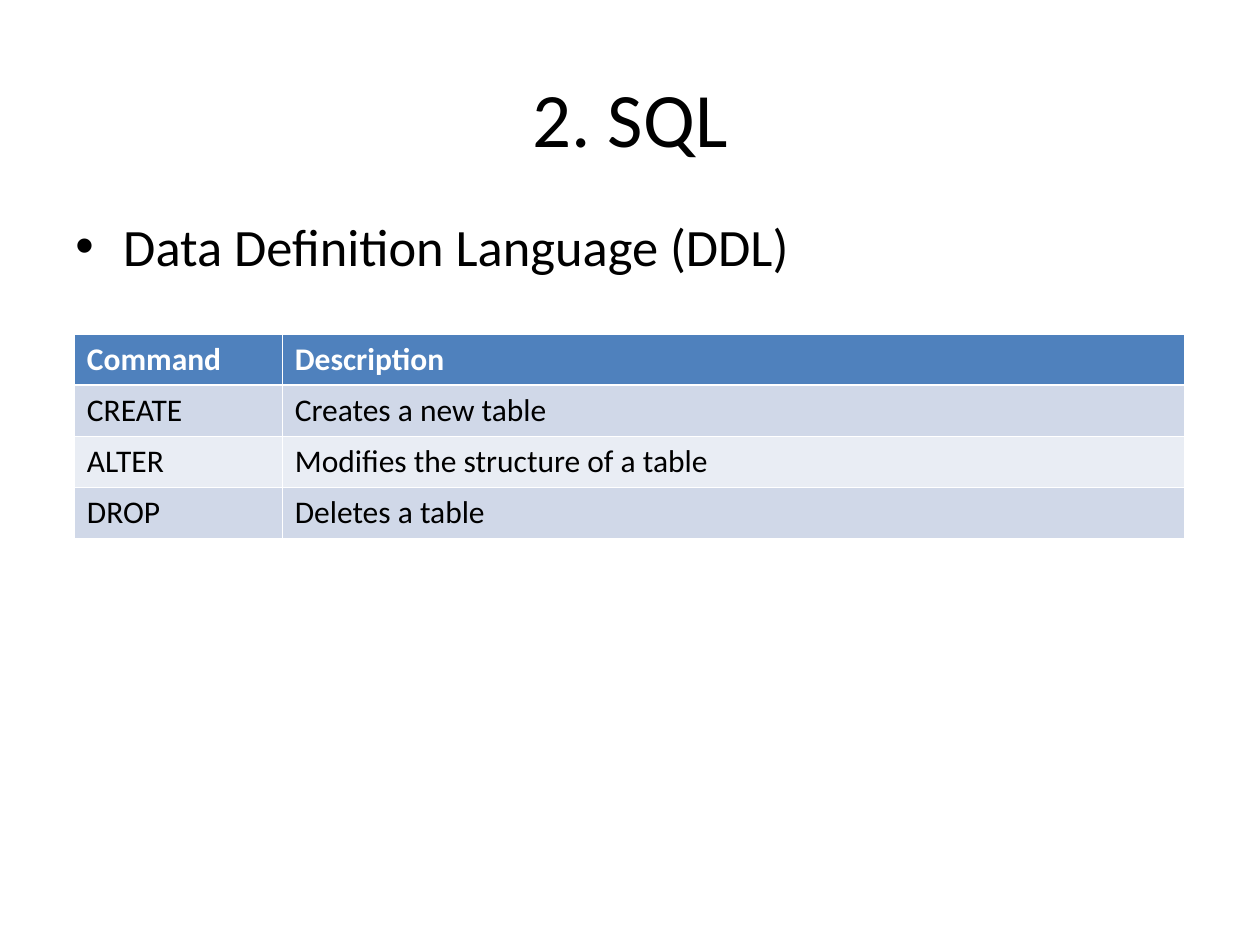
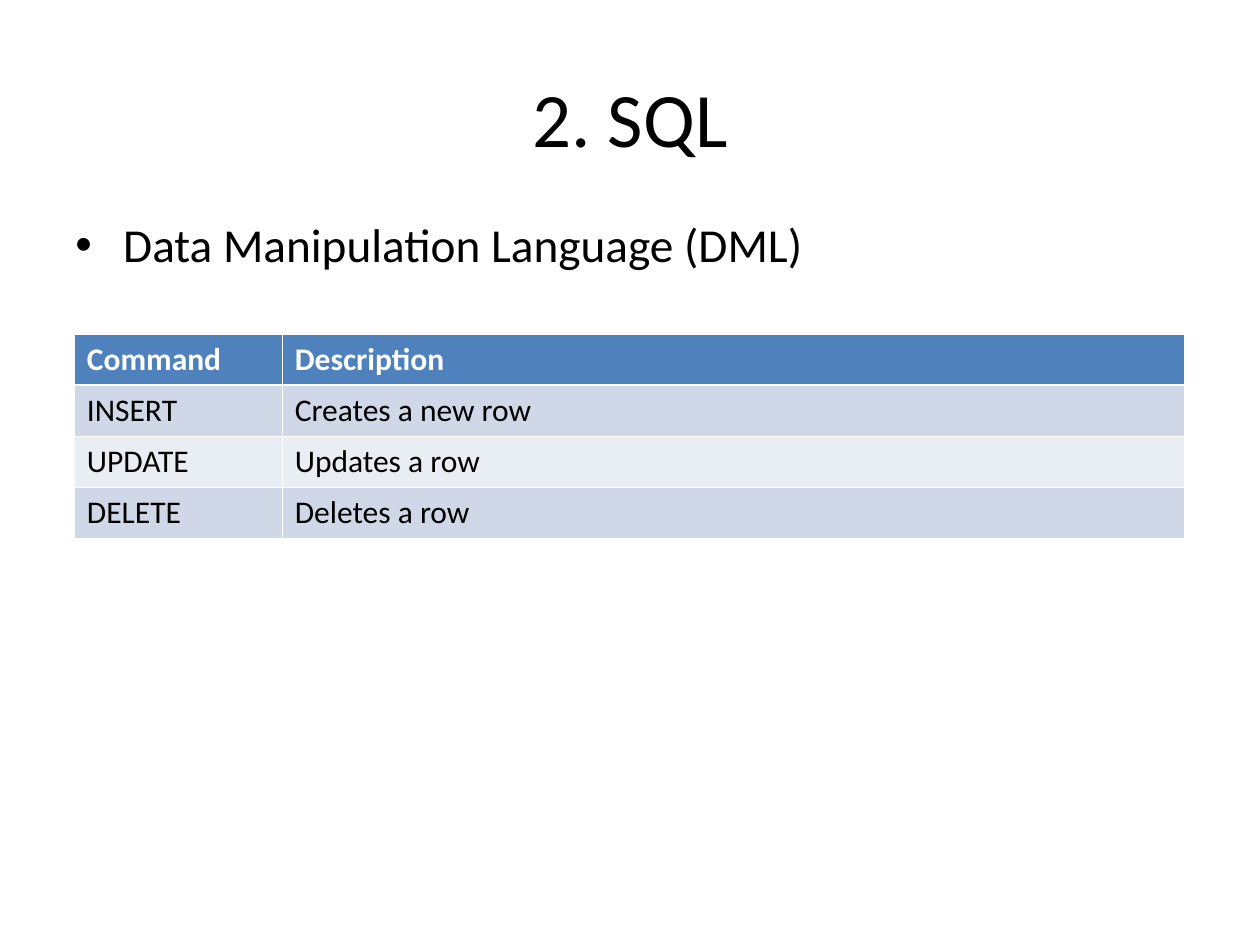
"""Build two SQL slides, each with a bullet heading and a command table."""
from lxml import etree
from pptx import Presentation
from pptx.dml.color import RGBColor
from pptx.enum import text
from pptx.oxml import ns
from pptx.util import Inches, Pt

TITLE = "2. SQL"
HEADER = ("Command", "Description")
SLIDES = [
    {"heading": "Data Definition Language (DDL)", "size": 30, "before": 7.5,
     "commands": [("CREATE", "Creates a new table"),
                  ("ALTER", "Modifies the structure of a table"),
                  ("DROP", "Deletes a table")]},
    {"heading": "Data Manipulation Language (DML)", "size": 27, "before": 6.8,
     "commands": [("INSERT", "Creates a new row"),
                  ("UPDATE", "Updates a row"),
                  ("DELETE", "Deletes a row")]},
]

FONT = "Calibri"
BLACK, WHITE, BLUE = "000000", "FFFFFF", "4F81BD"
BANDS = ("D0D8E8", "E9EDF4")
THIN, THICK = 0.45, 1.47
TITLE_BOX = (0.5, 0.3, 9, 1.25)
HEADING_BOX = (0.5, 1.75, 9, 0.5)
TABLE_LEFT, TABLE_TOP = 0.59, 2.65
COL_WIDTHS = (1.65, 7.16)
ROW_HEIGHT = 0.405
HANGING = 0.38


def rgb(color):
    return RGBColor.from_string(color)


def inches(box):
    return [Inches(v) for v in box]


def write(tf, content, size=18, color=BLACK, bold=False, align=None, anchor=None):
    tf.word_wrap = True
    if anchor is not None:
        tf.vertical_anchor = anchor
    p = tf.paragraphs[0]
    p.alignment = align
    r = p.add_run()
    r.text = content
    r.font.name, r.font.size, r.font.bold = FONT, Pt(size), bold
    r.font.color.rgb = rgb(color)
    return p


def add_bullet(p):
    pPr = p._p.get_or_add_pPr()
    pPr.set("marL", str(Inches(HANGING)))
    pPr.set("indent", str(-Inches(HANGING)))
    etree.SubElement(pPr, ns.qn("a:buFont")).set("typeface", "Arial")
    etree.SubElement(pPr, ns.qn("a:buChar")).set("char", "•")


def set_borders(cell, **widths):
    tcPr = cell._tc.get_or_add_tcPr()
    for i, side in enumerate("LRTB"):
        ln = etree.Element(ns.qn(f"a:ln{side}"), w=str(Pt(widths.get(side, THIN))))
        fill = etree.SubElement(ln, ns.qn("a:solidFill"))
        etree.SubElement(fill, ns.qn("a:srgbClr")).set("val", WHITE)
        tcPr.insert(i, ln)


def add_title(slide):
    sp = slide.shapes.title
    sp.left, sp.top, sp.width, sp.height = inches(TITLE_BOX)
    write(sp.text_frame, TITLE, size=44, align=text.PP_ALIGN.CENTER,
          anchor=text.MSO_ANCHOR.MIDDLE)


def add_heading(slide, heading, size, before):
    sp = slide.shapes.add_textbox(*inches(HEADING_BOX))
    p = write(sp.text_frame, heading, size=size)
    p.line_spacing, p.space_before = 0.8, Pt(before)
    add_bullet(p)


def add_commands(slide, commands):
    rows = [HEADER, *commands]
    box = (TABLE_LEFT, TABLE_TOP, sum(COL_WIDTHS), ROW_HEIGHT * len(rows))
    table = slide.shapes.add_table(len(rows), len(HEADER), *inches(box)).table
    for column, width in zip(table.columns, COL_WIDTHS):
        column.width = Inches(width)
    for i, row in enumerate(rows):
        header = i == 0
        edges = {0: {"B": THICK}, 1: {"T": THICK}}.get(i, {})
        for j, content in enumerate(row):
            cell = table.cell(i, j)
            cell.fill.solid()
            cell.fill.fore_color.rgb = rgb(BLUE if header else BANDS[(i - 1) % 2])
            set_borders(cell, **edges)
            write(cell.text_frame, content, bold=header,
                  color=WHITE if header else BLACK)


def main():
    prs = Presentation()
    prs.slide_width, prs.slide_height = Inches(10), Inches(7.5)
    for item in SLIDES:
        slide = prs.slides.add_slide(prs.slide_layouts.get_by_name("Title Only"))
        add_title(slide)
        add_heading(slide, item["heading"], item["size"], item["before"])
        add_commands(slide, item["commands"])
    prs.save("out.pptx")


if __name__ == "__main__":
    main()
